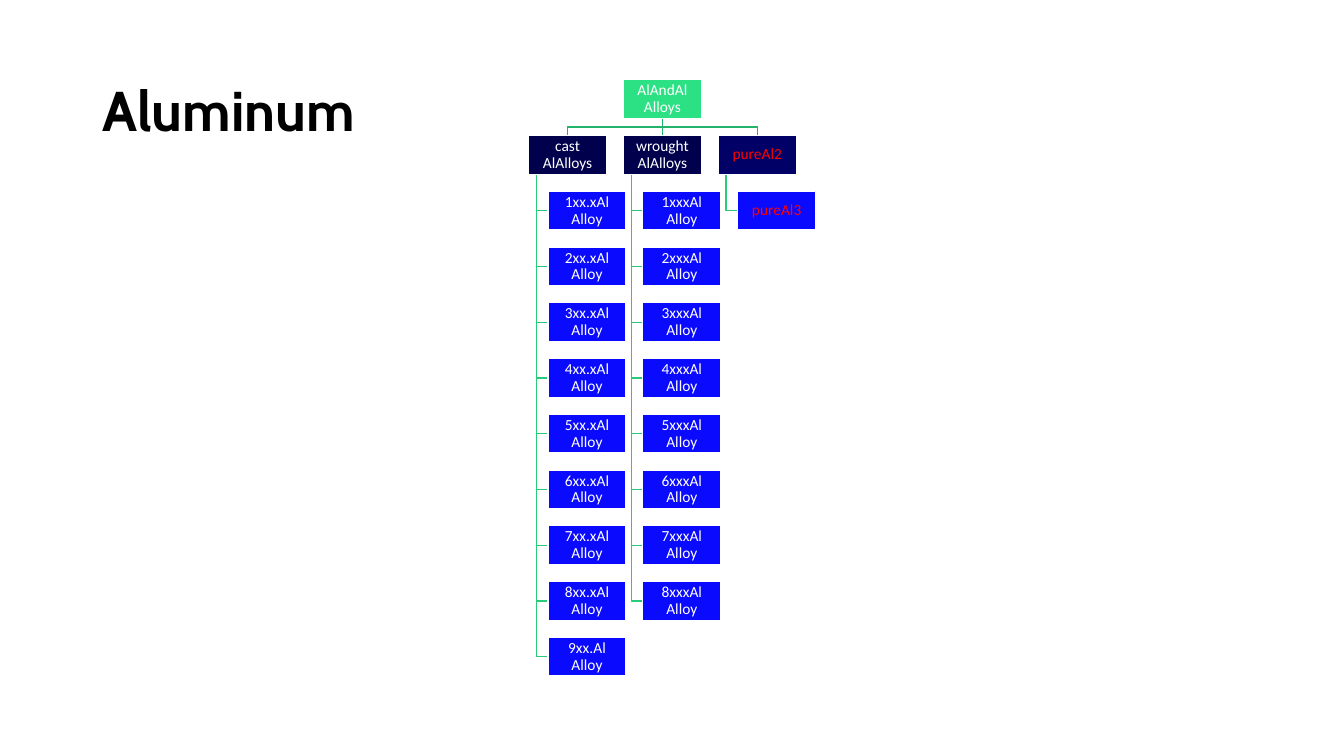
"""Build the slide with the family tree of aluminum alloys."""
from pptx import Presentation
from pptx.dml.color import RGBColor
from pptx.enum import shapes, text
from pptx.oxml import ns
from pptx.util import Cm, Pt
from lxml import etree

WHITE = RGBColor(0xFF, 0xFF, 0xFF)
BLACK = RGBColor(0, 0, 0)
RED = RGBColor(0xFF, 0, 0)
GREEN = RGBColor(0x2C, 0xE0, 0x84)
NAVY = RGBColor(0, 0, 0x4D)
DEEP = RGBColor(0, 0, 0x66)
BLUE = RGBColor(0x0A, 0x0A, 0xFF)
TRUNK = RGBColor(0x23, 0xB3, 0x6A)
TWIG = RGBColor(0x28, 0xCB, 0x78)

TITLE = "Aluminum"
ROOT = ("AlAndAl", "Alloys")
CAST = [(f"{n}xx.xAl", "Alloy") for n in range(1, 9)] + [("9xx.Al", "Alloy")]
WROUGHT = [(f"{n}xxxAl", "Alloy") for n in range(1, 9)]
GROUPS = [
    (("cast", "AlAlloys"), NAVY, WHITE, CAST),
    (("wrought", "AlAlloys"), NAVY, WHITE, WROUGHT),
    (("pureAl2",), DEEP, RED, [("pureAl3",)]),
]

LEFT, TOP, LAST = Cm(13.32), Cm(2.01), Cm(16.06)
WIDE, HIGH = Cm(1.97), Cm(0.98)
STEP, INDENT, SPINE = Cm(2.39), Cm(0.49), Cm(0.2)
ROW = (LAST - TOP) // (len(CAST) + 1)
MID = LEFT + STEP + WIDE // 2
FOOT, HEAD = TOP + HIGH, TOP + ROW
BEND = (FOOT + HEAD) // 2


def style(item, values):
    """Set each named attribute of an item."""
    for name, value in values.items():
        setattr(item, name, value)


def link(slide, color, points):
    """Draw a bent line through the points."""
    path = slide.shapes.build_freeform(*points[0])
    path.add_line_segments(points[1:], close=False)
    line = path.convert_to_shape()
    line.fill.background()
    line.shadow.inherit = False
    line.line.color.rgb = color
    line.line.width = Pt(1)


def drop(slide):
    """Draw the straight line from the root to the middle group."""
    line = slide.shapes.add_connector(
        shapes.MSO_CONNECTOR.STRAIGHT, MID, FOOT, MID, HEAD)
    line.line.color.rgb = TRUNK
    line.line.width = Pt(1)
    etree.SubElement(line._element.spPr, ns.qn("a:effectLst"))


def box(slide, words, left, top, fill, ink):
    """Add a filled box with centred words."""
    card = slide.shapes.add_shape(
        shapes.MSO_SHAPE.RECTANGLE, left, top, WIDE, HIGH)
    card.shadow.inherit = False
    card.fill.solid()
    card.fill.fore_color.rgb = fill
    card.line.color.rgb = WHITE
    card.line.width = Pt(1)
    frame = card.text_frame
    sides = ("left", "top", "right", "bottom")
    style(frame, {f"margin_{side}": Cm(0.02) for side in sides})
    style(frame, {"word_wrap": True,
                  "vertical_anchor": text.MSO_ANCHOR.MIDDLE})
    para = frame.paragraphs[0]
    style(para, {"alignment": text.PP_ALIGN.CENTER, "line_spacing": 0.9})
    for i, word in enumerate(words):
        if i:
            para.add_line_break()
        run = para.add_run()
        run.text = word
        style(run.font, {"name": "Calibri", "size": Pt(11)})
        run.font.color.rgb = ink


def head(slide):
    """Fill and place the title."""
    title = slide.shapes.title
    style(title, {"left": Cm(2.34), "top": Cm(1.02),
                  "width": Cm(29.21), "height": Cm(3.68)})
    title.text_frame.text = TITLE
    title.text_frame.vertical_anchor = text.MSO_ANCHOR.MIDDLE
    para = title.text_frame.paragraphs[0]
    style(para, {"alignment": text.PP_ALIGN.LEFT, "line_spacing": 0.9})
    font = para.runs[0].font
    style(font, {"name": "Cabin", "size": Pt(40), "bold": True})
    font.color.rgb = BLACK


def tree(slide):
    """Draw the links, then the boxes."""
    drop(slide)
    for col, (_, _, _, leaves) in enumerate(GROUPS):
        left = LEFT + col * STEP
        mid, spine = left + WIDE // 2, left + SPINE
        if mid != MID:
            link(slide, TRUNK,
                 [(MID, FOOT), (MID, BEND), (mid, BEND), (mid, HEAD)])
        for row in range(len(leaves)):
            level = HEAD + (row + 1) * ROW + HIGH // 2
            link(slide, TWIG, [(spine, HEAD + HIGH), (spine, level),
                               (left + INDENT, level)])
    box(slide, ROOT, LEFT + STEP, TOP, GREEN, WHITE)
    for col, (name, fill, ink, leaves) in enumerate(GROUPS):
        left = LEFT + col * STEP
        box(slide, name, left, HEAD, fill, ink)
        for row, leaf in enumerate(leaves, 1):
            box(slide, leaf, left + INDENT, HEAD + row * ROW, BLUE, ink)


def main():
    """Make and save the deck."""
    deck = Presentation()
    style(deck, {"slide_width": Cm(33.87), "slide_height": Cm(19.05)})
    slide = deck.slides.add_slide(deck.slide_layouts[5])
    tree(slide)
    head(slide)
    deck.save("out.pptx")


if __name__ == "__main__":
    main()
